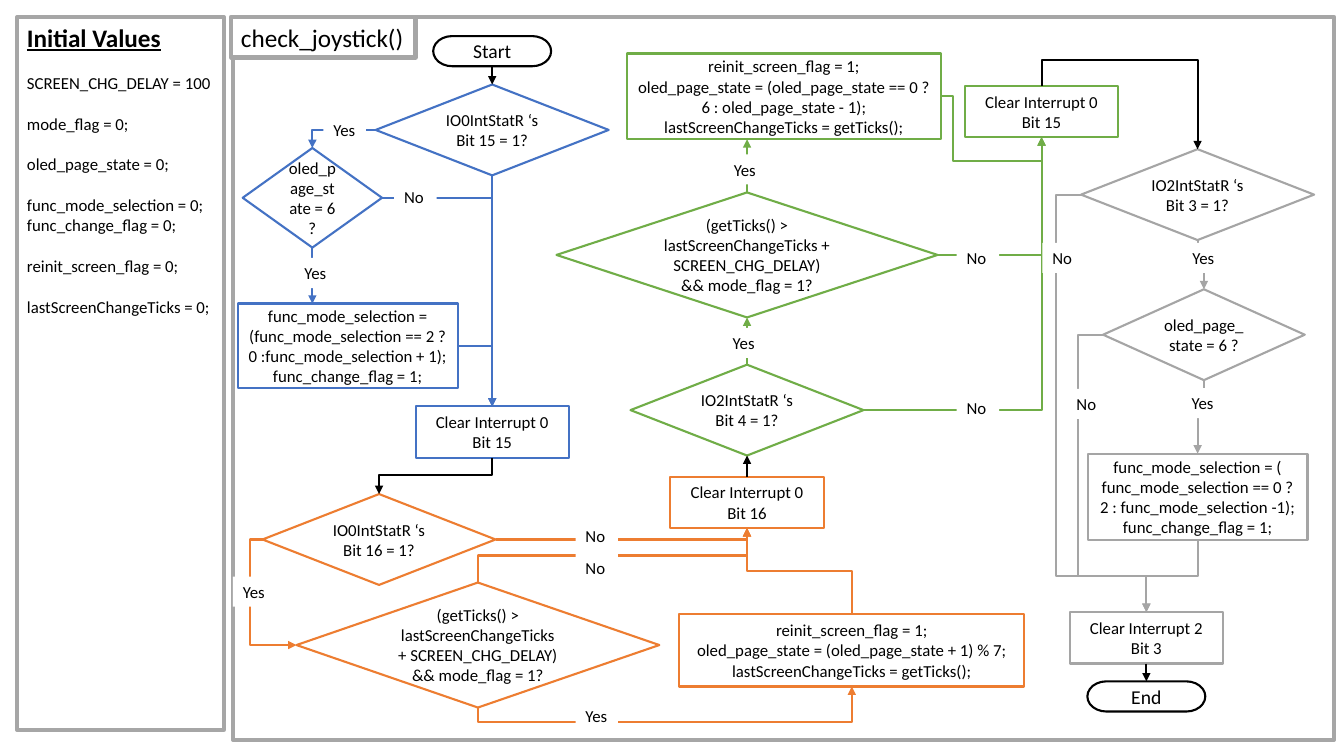
from lxml import etree
from pptx import Presentation
from pptx import util as u
from pptx.dml.color import RGBColor
from pptx.enum import shapes, text
from pptx.oxml.ns import qn

THEME = {
    "font": "Calibri",
    "ink": "000000", "paper": "FFFFFF", "frame": "A6A6A6",
    "blue": "4472C4", "orange": "ED7D31", "green": "70AD47", "grey": "A5A5A5",
    "body": 12, "terminal": 14, "heading": 18,
    "line": 1.5, "border": 3, "gap": 14.65,
}

PANEL = (5.87, 0.43, 27.74, 18.21)
TAG = (5.82, 0.43, 4.65, 1.02)
SIDEBAR = (0.43, 0.43, 5.21, 17.96)
TAG_TEXT = "check_joystick()"
SIDEBAR_TITLE = "Initial Values"
INITIAL_VALUES = [
    ["SCREEN_CHG_DELAY = 100"],
    ["mode_flag = 0;"],
    ["oled_page_state = 0;"],
    ["func_mode_selection = 0;", "func_change_flag = 0;"],
    ["reinit_screen_flag = 0;"],
    ["lastScreenChangeTicks = 0;"],
]

TICKS_TEXT = "(getTicks() > lastScreenChangeTicks + SCREEN_CHG_DELAY) && mode_flag = 1?"
PAGE_TEXT = "oled_page_state = 6 ?"
REINIT = "reinit_screen_flag = 1;\n"
STAMP = "\nlastScreenChangeTicks = getTicks();"
CHANGED = "\nfunc_change_flag = 1;"

BIT = (5.87, 2.29)
CLEAR = (3.86, 1.3)
TERMINAL = (2.97, 0.76)

# name: kind, colour, centre x, top, (width, height), wording
NODES = {
    "start": ("terminator", "ink", 12.4, 0.91, TERMINAL, "Start"),
    "io0_15": ("decision", "blue", 12.4, 2.13, BIT, "IO0IntStatR ‘s Bit 15 = 1?"),
    "page6_up": ("decision", "blue", 7.87, 3.73, (3.51, 2.51), PAGE_TEXT),
    "next_mode": ("process", "blue", 8.76, 7.65, (5.54, 2.13),
                  "func_mode_selection = (func_mode_selection == 2 ? 0 :func_mode_selection + 1);" + CHANGED),
    "clear0_15": ("process", "blue", 12.4, 10.24, CLEAR, "Clear Interrupt 0 Bit 15"),
    "io0_16": ("decision", "orange", 9.55, 12.45, BIT, "IO0IntStatR ‘s Bit 16 = 1?"),
    "ticks_next": ("decision", "orange", 12.04, 14.68, (9.14, 3.15), TICKS_TEXT),
    "next_page": ("process", "orange", 21.46, 15.47, (8.69, 1.83),
                  REINIT + "oled_page_state = (oled_page_state + 1) % 7;" + STAMP),
    "clear0_16": ("process", "orange", 18.82, 12.01, CLEAR, "Clear Interrupt 0 Bit 16"),
    "io2_4": ("decision", "green", 18.82, 9.19, BIT, "IO2IntStatR ‘s Bit 4 = 1?"),
    "ticks_prev": ("decision", "green", 18.82, 4.85, (9.6, 3.15), TICKS_TEXT),
    "prev_page": ("process", "green", 19.75, 1.35, (7.9, 2.16),
                  REINIT + "oled_page_state = (oled_page_state == 0 ? 6 : oled_page_state - 1);" + STAMP),
    "clear_green": ("process", "green", 26.24, 2.16, CLEAR, "Clear Interrupt 0 Bit 15"),
    "io2_3": ("decision", "grey", 30.17, 3.76, BIT, "IO2IntStatR ‘s Bit 3 = 1?"),
    "page6_down": ("decision", "grey", 30.33, 7.29, (5.08, 2.29), PAGE_TEXT),
    "prev_mode": ("process", "grey", 30.17, 11.43, (5.54, 2.18),
                  "func_mode_selection = (\nfunc_mode_selection == 0 ? 2 : func_mode_selection -1);" + CHANGED),
    "clear2_3": ("process", "grey", 28.88, 15.42, CLEAR, "Clear Interrupt 2 Bit 3"),
    "end": ("terminator", "ink", 28.88, 17.17, TERMINAL, "End"),
}

TOP, LEFT, BOTTOM, RIGHT = range(4)
ARROWS = [
    ("start", BOTTOM, "io0_15", TOP, []),
    ("io0_15", LEFT, "page6_up", TOP, []),
    ("io0_15", BOTTOM, "clear0_15", TOP, []),
    ("next_mode", RIGHT, "clear0_15", TOP, []),
    ("page6_up", RIGHT, "clear0_15", TOP, []),
    ("clear0_15", BOTTOM, "io0_16", TOP, [11.98]),
    ("io0_16", LEFT, "ticks_next", LEFT, [6.3]),
    ("io0_16", RIGHT, "clear0_16", BOTTOM, []),
    ("ticks_next", TOP, "clear0_16", BOTTOM, [14]),
    ("ticks_next", BOTTOM, "next_page", BOTTOM, [18.19]),
    ("next_page", TOP, "clear0_16", BOTTOM, [14.38]),
    ("clear0_16", TOP, "io2_4", BOTTOM, []),
    ("io2_4", TOP, "ticks_prev", BOTTOM, []),
    ("io2_4", RIGHT, "clear_green", BOTTOM, []),
    ("ticks_prev", RIGHT, "clear_green", BOTTOM, []),
    ("prev_page", RIGHT, "clear_green", BOTTOM, [24, 4.06]),
    ("clear_green", TOP, "io2_3", TOP, [1.52]),
    ("io2_3", BOTTOM, "page6_down", TOP, [6.66]),
    ("io2_3", LEFT, "clear2_3", TOP, [26.6, 14.52]),
    ("page6_down", BOTTOM, "prev_mode", TOP, [10.5]),
    ("page6_down", LEFT, "clear2_3", TOP, [27.15, 14.52]),
    ("prev_mode", BOTTOM, "clear2_3", TOP, [14.52]),
    ("clear2_3", BOTTOM, "end", TOP, []),
]
DROPS = [("page6_up", BOTTOM, "next_mode", TOP), ("ticks_prev", TOP, "prev_page", BOTTOM)]

LABEL_SIZE = (1.07, 0.76)
LABELS = {
    "Yes": [(8.15, 2.9), (7.42, 6.5), (5.87, 14.53), (14.5, 17.65), (18.21, 8.26),
            (18.24, 3.89), (29.77, 9.78), (29.79, 6.12)],
    "No": [(9.93, 4.57), (14.5, 13.13), (14.5, 13.92), (24.1, 9.91), (24.1, 6.12),
           (26.87, 9.8), (26.26, 6.12)],
}


def colour(name):
    return RGBColor.from_string(THEME[name])


def add_box(page, kind, place, line=None, width=THEME["line"]):
    box = page.shapes.add_shape(kind, *map(u.Cm, place))
    box.shadow.inherit = False
    box.fill.solid()
    box.fill.fore_color.rgb = colour("paper")
    if line:
        box.line.color.rgb = colour(line)
        box.line.width = u.Pt(width)
    else:
        box.line.fill.background()
    return box


def write(box, wording, size, centred=False, wrap=True):
    frame = box.text_frame
    frame.word_wrap = wrap
    frame.vertical_anchor = text.MSO_ANCHOR.MIDDLE if centred else text.MSO_ANCHOR.TOP
    frame.text = wording
    for para in frame.paragraphs:
        para.alignment = text.PP_ALIGN.CENTER if centred else text.PP_ALIGN.LEFT
        for span in para.runs:
            span.font.name = THEME["font"]
            span.font.size = u.Pt(THEME[size])
            span.font.color.rgb = colour("ink")
    return frame.paragraphs


def site(name, side):
    _, _, x, top, (width, height), _ = NODES[name]
    return [(x, top), (x - width / 2, top + height / 2),
            (x, top + height), (x + width / 2, top + height / 2)][side]


def add_arrow(page, kind, begin, end, tint):
    arrow = page.shapes.add_connector(kind, *map(u.Cm, begin + end))
    arrow.line.color.rgb = colour(tint)
    arrow.line.width = u.Pt(THEME["line"])
    properties = arrow._element.spPr
    etree.SubElement(properties.find(qn("a:ln")), qn("a:tailEnd"), type="triangle")
    etree.SubElement(properties, qn("a:effectLst"))
    return arrow


def bend(arrow, begin, end, axis, lanes):
    delta = [end[0] - begin[0], end[1] - begin[1]]
    along, across = delta[axis], delta[1 - axis]
    arrow.left = u.Cm((begin[0] + end[0] - abs(along)) / 2)
    arrow.top = u.Cm((begin[1] + end[1] - abs(across)) / 2)
    arrow.width, arrow.height = u.Cm(abs(along)), u.Cm(abs(across))
    frame = arrow._element.spPr.find(qn("a:xfrm"))
    frame.set("rot", str(5400000 * axis))
    frame.set("flipH", str(int(along < 0)))
    frame.set("flipV", str(int(across > 0 if axis else across < 0)))
    geometry = arrow._element.spPr.find(qn("a:prstGeom"))
    geometry.set("prst", f"bentConnector{len(lanes) + 2}")
    guides = geometry.find(qn("a:avLst"))
    for index, lane in enumerate(lanes):
        way = (axis + index) % 2
        share = round((lane - begin[way]) / delta[way] * 100000)
        etree.SubElement(guides, qn("a:gd"), name=f"adj{index + 1}", fmla=f"val {share}")


def add_sidebar(page):
    box = add_box(page, shapes.MSO_SHAPE.RECTANGLE, SIDEBAR, "frame", THEME["border"])
    lines = [line for group in INITIAL_VALUES for line in group]
    paras = write(box, "\n".join([SIDEBAR_TITLE] + lines), "body")
    heading = paras[0].runs[0].font
    heading.size, heading.bold, heading.underline = u.Pt(THEME["heading"]), True, True
    firsts = [group[0] for group in INITIAL_VALUES]
    for para in paras[1:]:
        para.space_before = u.Pt(THEME["gap"] if para.text in firsts else 0)


def main():
    deck = Presentation()
    deck.slide_width, deck.slide_height = u.Inches(13.33), u.Inches(7.5)
    page = deck.slides.add_slide(deck.slide_layouts[6])
    rectangle = shapes.MSO_SHAPE.RECTANGLE
    add_box(page, rectangle, PANEL, "frame", THEME["border"])
    write(add_box(page, rectangle, TAG, "frame", THEME["border"]), TAG_TEXT, "heading", wrap=False)

    boxes = {}
    for name, (kind, tint, x, top, (width, height), wording) in NODES.items():
        preset = getattr(shapes.MSO_SHAPE, "FLOWCHART_" + kind.upper())
        boxes[name] = add_box(page, preset, (x - width / 2, top, width, height), tint)
        write(boxes[name], wording, "terminal" if kind == "terminator" else "body", centred=True)

    straight, elbow = shapes.MSO_CONNECTOR.STRAIGHT, shapes.MSO_CONNECTOR.ELBOW
    for source, leave, target, enter, lanes in ARROWS:
        begin, end = site(source, leave), site(target, enter)
        tint = NODES[source][1] if NODES[source][1] == NODES[target][1] else "ink"
        direct = begin[0] == end[0]
        arrow = add_arrow(page, straight if direct else elbow, begin, end, tint)
        arrow.begin_connect(boxes[source], leave)
        arrow.end_connect(boxes[target], enter)
        if not direct:
            bend(arrow, begin, end, int(leave in (TOP, BOTTOM)), lanes)
    for source, leave, target, enter in DROPS:
        begin = site(source, leave)
        arrow = add_arrow(page, straight, begin, (begin[0], site(target, enter)[1]), NODES[source][1])
        arrow.begin_connect(boxes[source], leave)

    for wording, places in LABELS.items():
        for place in places:
            write(add_box(page, rectangle, place + LABEL_SIZE), wording, "body")
    add_sidebar(page)
    deck.save("out.pptx")


if __name__ == "__main__":
    main()
